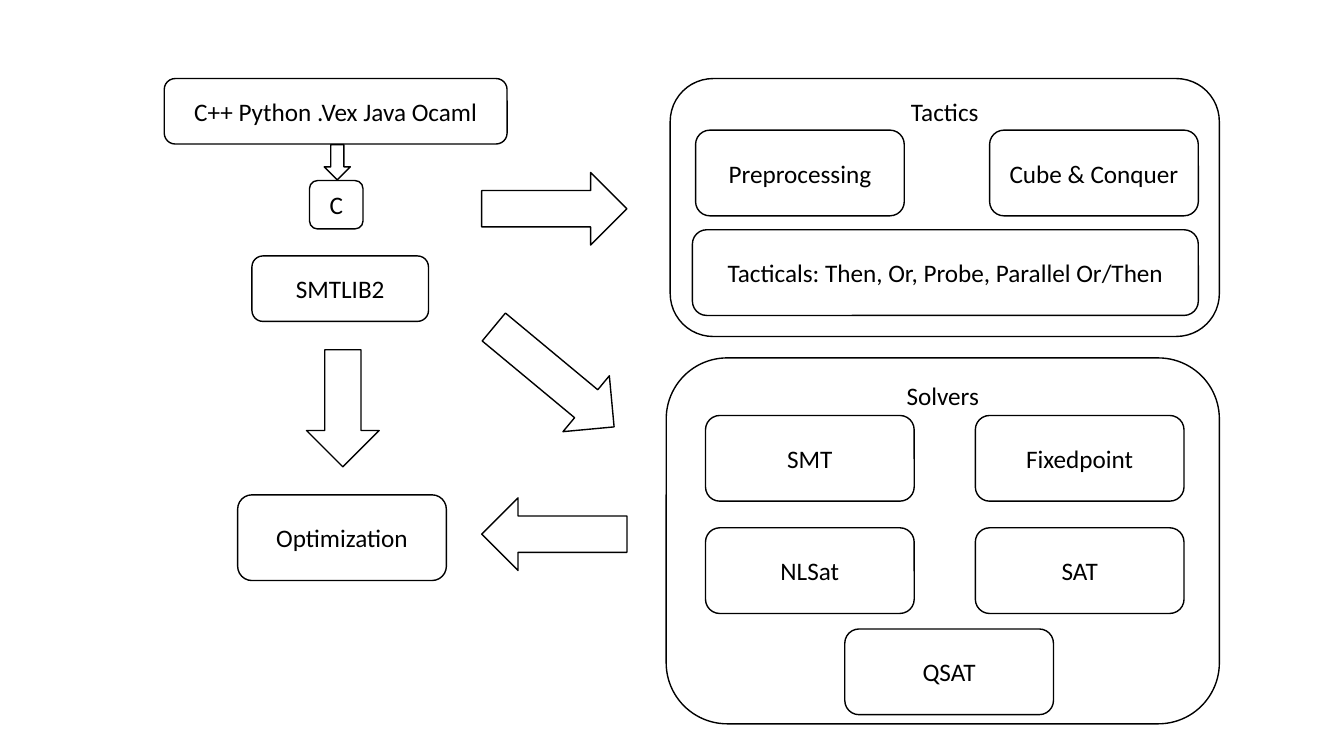
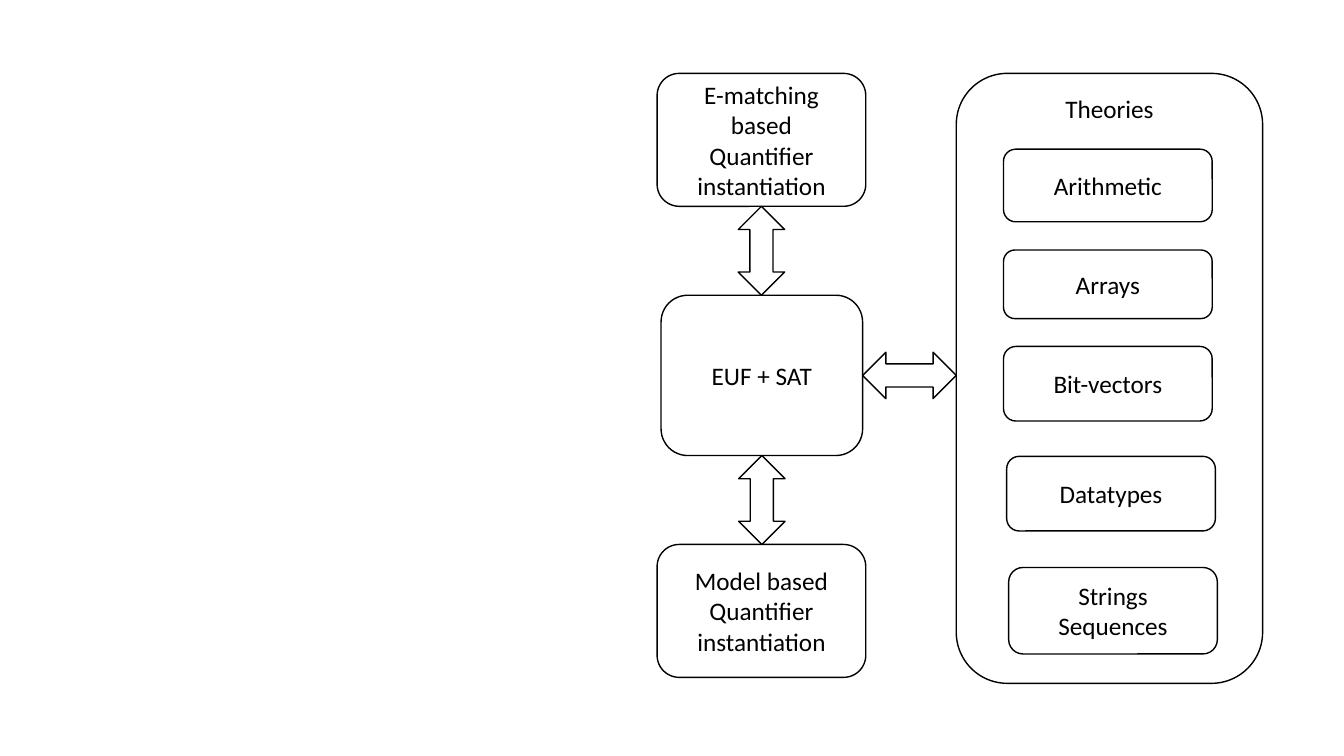
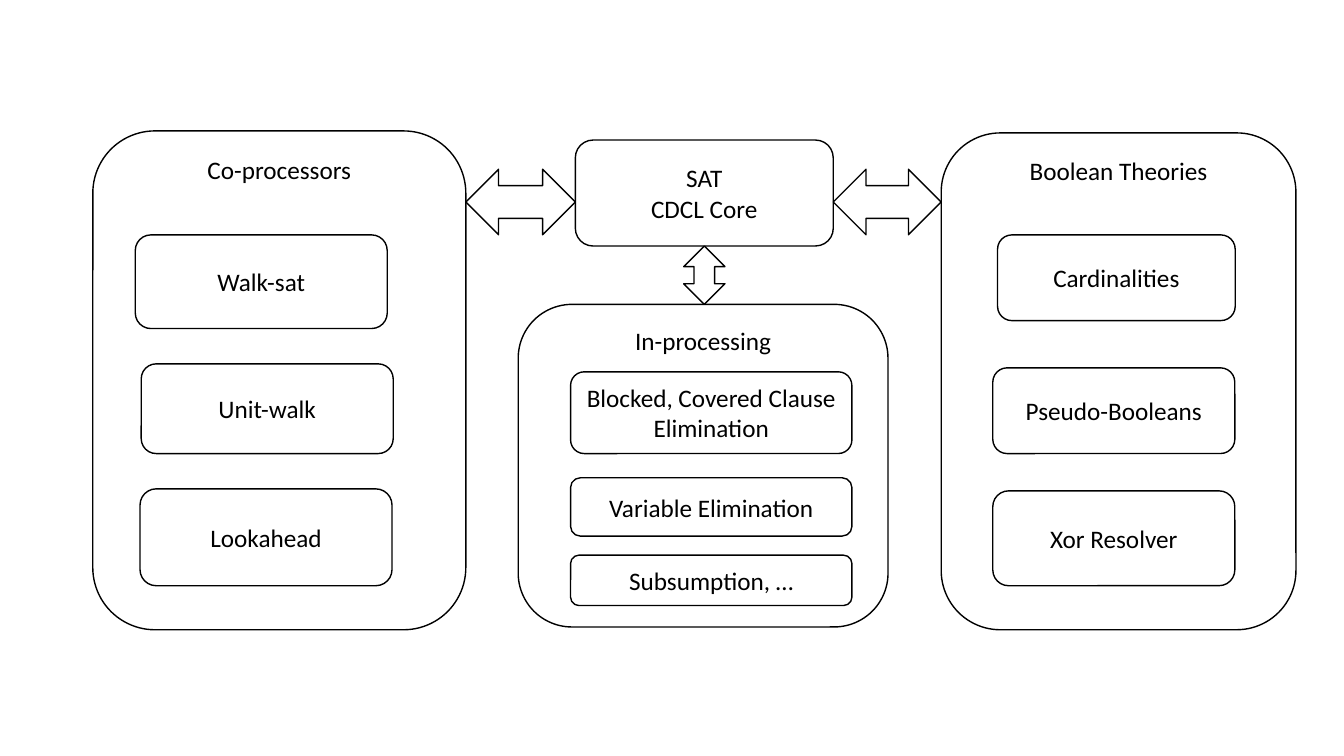
import dataclasses

import pptx
import pptx.dml.color
import pptx.enum.shapes
import pptx.enum.text
import pptx.util

Cm = pptx.util.Cm
Preset = pptx.enum.shapes.MSO_SHAPE
Anchor = pptx.enum.text.MSO_ANCHOR


@dataclasses.dataclass(frozen=True)
class Theme:
    font: str = "Calibri"
    size: int = 18
    line_width: int = 1
    ink: str = "000000"
    paper: str = "FFFFFF"


@dataclasses.dataclass(frozen=True)
class Box:
    """A rectangle in centimetres."""
    left: float
    top: float
    width: float
    height: float

    @property
    def right(self):
        return self.left + self.width

    @property
    def bottom(self):
        return self.top + self.height

    @property
    def centre(self):
        return self.left + self.width / 2, self.top + self.height / 2

    def inside(self, dx, dy, width, height):
        return Box(self.left + dx, self.top + dy, width, height)


THEME = Theme()
SLIDE = Box(0, 0, 33.87, 19.05)


def colour(value):
    return pptx.dml.color.RGBColor.from_string(value)


# Shared parts
def outlined(slide, preset, box):
    shape = slide.shapes.add_shape(
        preset, Cm(box.left), Cm(box.top), Cm(box.width), Cm(box.height))
    shape.shadow.inherit = False
    shape.fill.solid()
    shape.fill.fore_color.rgb = colour(THEME.paper)
    shape.line.color.rgb = colour(THEME.ink)
    shape.line.width = pptx.util.Pt(THEME.line_width)
    return shape


def node(slide, box, label, anchor=Anchor.MIDDLE):
    frame = outlined(slide, Preset.ROUNDED_RECTANGLE, box).text_frame
    frame.text = label
    frame.word_wrap = True
    frame.vertical_anchor = anchor
    for paragraph in frame.paragraphs:
        paragraph.alignment = pptx.enum.text.PP_ALIGN.CENTER
        for run in paragraph.runs:
            run.font.name = THEME.font
            run.font.size = pptx.util.Pt(THEME.size)
            run.font.color.rgb = colour(THEME.ink)


def panel(slide, box, heading, members):
    """Draw a headed frame; members are (label, dx, dy, width, height)."""
    node(slide, box, heading, Anchor.TOP)
    for label, *place in members:
        node(slide, box.inside(*place), label)


def flow_arrow(slide, box, x, y, length, thickness, rotation=0):
    """Draw a one-way arrow around the point x, y of the box."""
    place = box.inside(x - length / 2, y - thickness / 2, length, thickness)
    outlined(slide, Preset.RIGHT_ARROW, place).rotation = rotation


def two_way_arrow(slide, x, y, length, thickness, rotation=0):
    place = Box(x - thickness / 2, y - length / 2, thickness, length)
    outlined(slide, Preset.UP_DOWN_ARROW, place).rotation = rotation


def link_down(slide, upper, lower, thickness):
    two_way_arrow(slide, upper.centre[0], (upper.bottom + lower.top) / 2,
                  lower.top - upper.bottom, thickness)


def link_across(slide, first, second, y, thickness):
    two_way_arrow(slide, (first.right + second.left) / 2, y,
                  second.left - first.right, thickness, 270)


# Slide 1: overall architecture
def interfaces(slide, box):
    for label, *place in (
            ("C++ Python .Vex Java Ocaml", 0, 0, 8.64, 1.65),
            ("C", 3.66, 2.57, 1.35, 1.22),
            ("SMTLIB2", 2.21, 4.47, 4.45, 1.65),
            ("Optimization", 1.85, 10.49, 5.26, 2.16)):
        node(slide, box.inside(*place), label)
    for arrow in (
            (9.83, 3.28, 3.66, 1.83),
            (9.83, 11.48, 3.66, 1.83, 180),
            (4.5, 8.31, 2.95, 1.83, 90),
            (9.82, 7.52, 3.94, 1.83, 39.7),
            (4.36, 2.11, 0.89, 0.66, 90)):
        flow_arrow(slide, box, *arrow)


def architecture(slide, box):
    width, height = 5.26, 2.16
    solver_rows = (("SMT", "Fixedpoint"), ("NLSat", "SAT"))
    solvers = [(label, 0.99 + 6.8 * column, 1.45 + 2.83 * row, width, height)
               for row, labels in enumerate(solver_rows)
               for column, label in enumerate(labels)]
    solvers.append(("QSAT", 4.5, 6.83, width, height))
    panel(slide, box.inside(16.79, 9.02, 13.94, 9.22), "Solvers", solvers)
    panel(slide, box.inside(16.89, 1.98, 13.84, 6.5), "Tactics", (
        ("Preprocessing", 0.64, 1.3, width, height),
        ("Cube & Conquer", 8.05, 1.3, width, height),
        ("Tacticals: Then, Or, Probe, Parallel Or/Then",
         0.56, 3.81, 12.75, height)))
    interfaces(slide, box.inside(4.14, 1.98, 12.65, 12.65))


# Slide 2: SMT core with its theories
def smt_core(slide, box):
    theories = box.inside(24.1, 1.85, 7.72, 15.37)
    core = box.inside(16.66, 7.44, 5.08, 4.04)
    matching = box.inside(16.56, 1.85, 5.26, 3.35)
    model = box.inside(16.56, 13.72, 5.26, 3.35)
    panel(slide, theories, "Theories", (
        ("Arithmetic", 1.19, 1.91, 5.26, 1.83),
        ("Arrays", 1.19, 4.45, 5.26, 1.73),
        ("Bit-vectors", 1.19, 6.88, 5.26, 1.88),
        ("Datatypes", 1.27, 9.65, 5.26, 1.88),
        ("Strings\nSequences", 1.32, 12.45, 5.26, 2.18)))
    node(slide, core, "EUF + SAT")
    node(slide, matching, "E-matching based\nQuantifier instantiation")
    node(slide, model, "Model based\nQuantifier instantiation")
    thickness = 1.17
    link_down(slide, matching, core, thickness)
    link_down(slide, core, model, thickness)
    link_across(slide, core, theories, core.centre[1], thickness)


# Slide 3: SAT core with its helpers
def sat_core(slide, box):
    core = box.inside(14.5, 3.53, 6.5, 2.67)
    coprocessors = box.inside(2.34, 3.3, 9.4, 12.57)
    inprocessing = box.inside(13.06, 7.67, 9.32, 8.13)
    booleans = box.inside(23.72, 3.35, 8.94, 12.52)
    node(slide, core, "SAT\nCDCL Core")
    panel(slide, booleans, "Boolean Theories", (
        ("Cardinalities", 1.42, 2.57, 5.99, 2.16),
        ("Pseudo-Booleans", 1.3, 5.92, 6.1, 2.16),
        ("Xor Resolver", 1.3, 9.02, 6.1, 2.39)))
    panel(slide, coprocessors, "Co-processors", (
        ("Walk-sat", 1.07, 2.62, 6.35, 2.36),
        ("Unit-walk", 1.22, 5.87, 6.35, 2.26),
        ("Lookahead", 1.19, 9.02, 6.35, 2.44)))
    panel(slide, inprocessing, "In-processing", (
        ("Blocked, Covered Clause Elimination", 1.32, 1.7, 7.09, 2.06),
        ("Variable Elimination", 1.32, 4.37, 7.09, 1.47),
        ("Subsumption, …", 1.32, 6.32, 7.09, 1.27)))
    link_height = box.top + 5.09
    link_across(slide, coprocessors, core, link_height, 1.65)
    link_across(slide, core, booleans, link_height, 1.65)
    link_down(slide, core, inprocessing, 1.04)


def build():
    deck = pptx.Presentation()
    deck.slide_width, deck.slide_height = Cm(SLIDE.width), Cm(SLIDE.height)
    blank = deck.slide_layouts.get_by_name("Blank")
    for draw in (architecture, smt_core, sat_core):
        draw(deck.slides.add_slide(blank), SLIDE)
    deck.save("out.pptx")


build()
